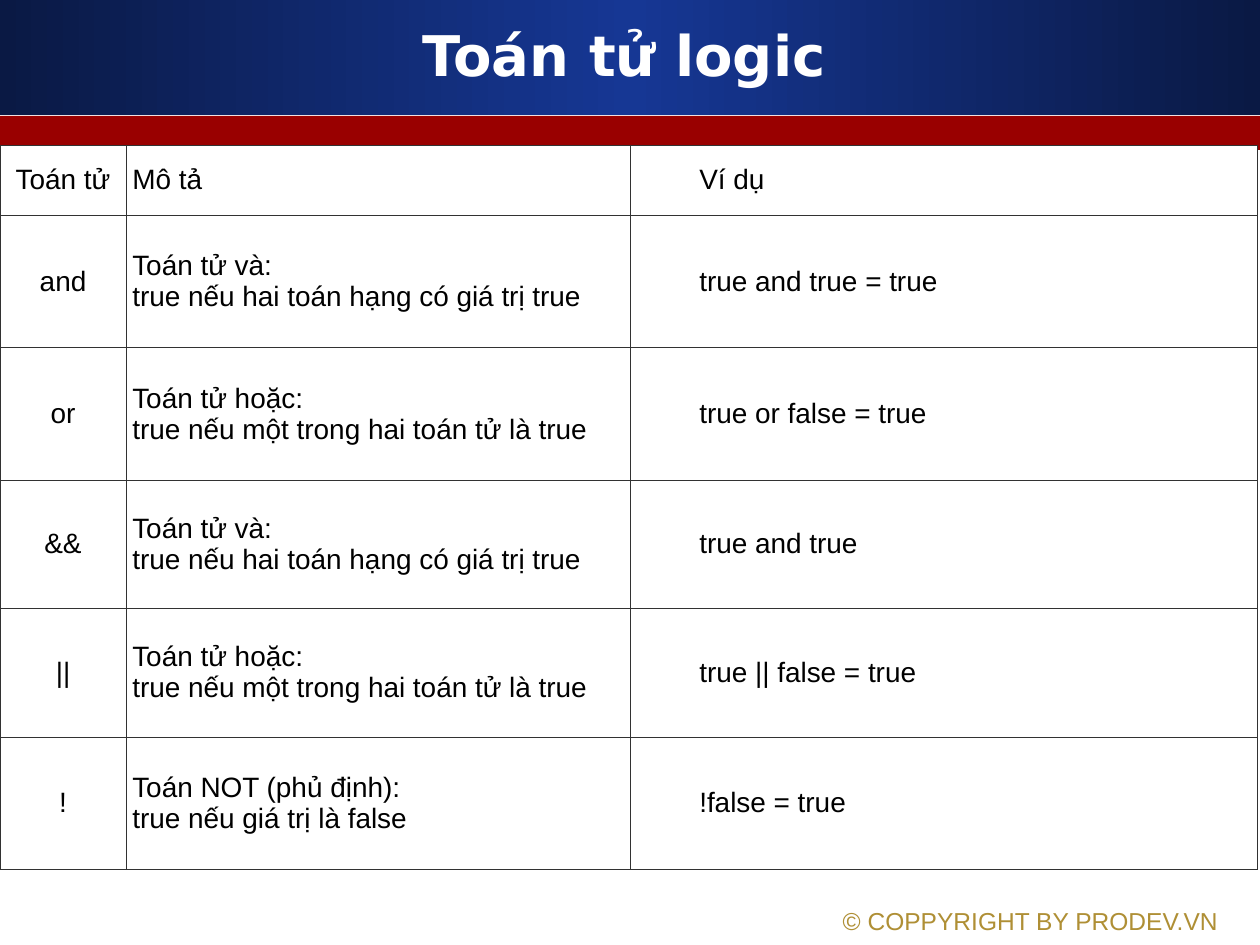
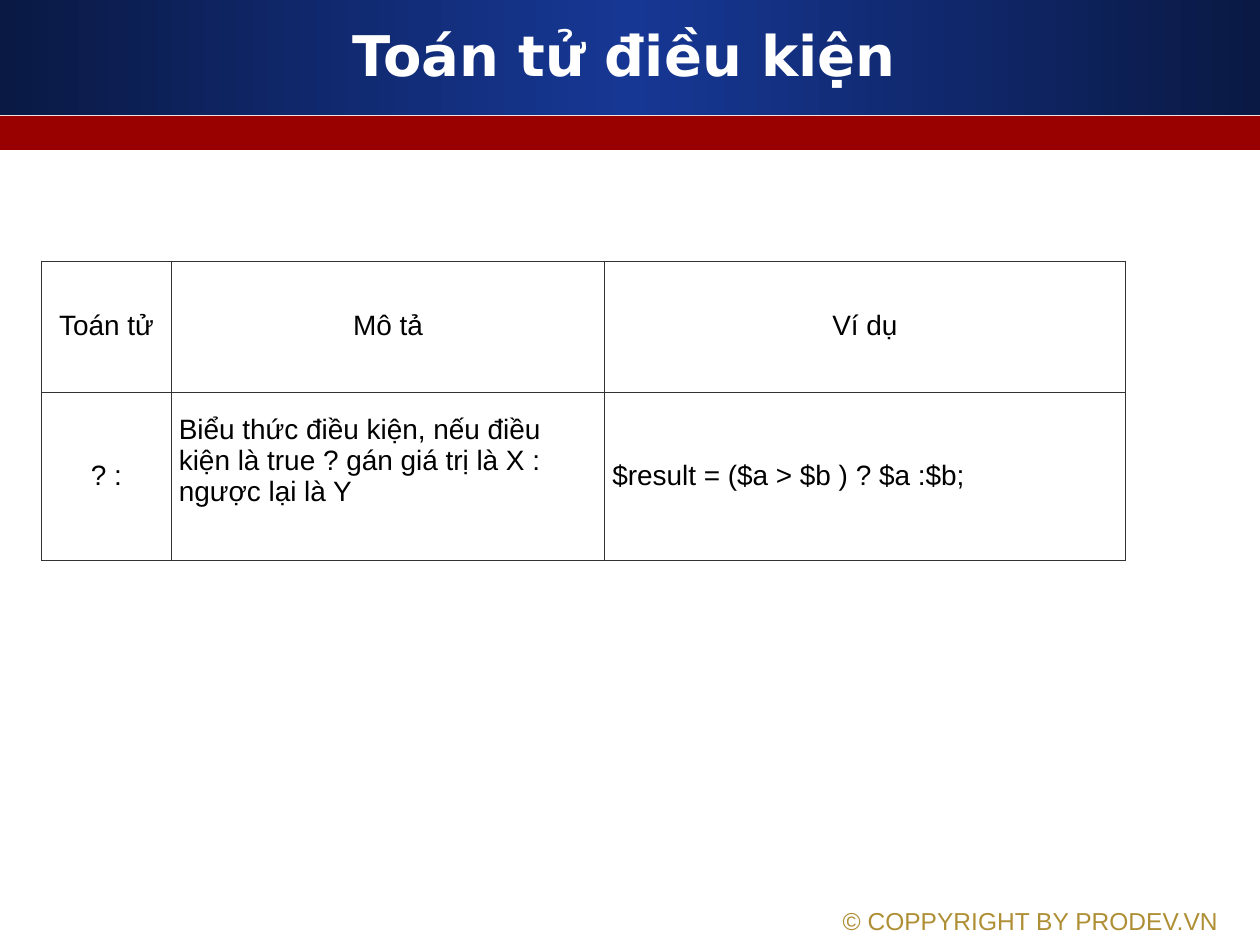
from copy import deepcopy
from dataclasses import dataclass

from lxml import etree
from pptx import Presentation
from pptx.dml.color import RGBColor
from pptx.enum.shapes import MSO_SHAPE
from pptx.enum.text import MSO_ANCHOR, MSO_AUTO_SIZE, PP_ALIGN
from pptx.oxml.ns import qn
from pptx.util import Inches, Pt

RECTANGLE = MSO_SHAPE.RECTANGLE
MIDDLE = MSO_ANCHOR.MIDDLE
LEFT, CENTER = PP_ALIGN.LEFT, PP_ALIGN.CENTER
FIXED, GROW = MSO_AUTO_SIZE.NONE, MSO_AUTO_SIZE.SHAPE_TO_FIT_TEXT
TITLE_ONLY = 5


# Colours, fonts and sizes
@dataclass(frozen=True)
class Theme:
    navy: str = "0A1944"
    blue: str = "163794"
    red: str = "990000"
    gold: str = "AF8F35"
    white: str = "FFFFFF"
    black: str = "000000"
    border: str = "323232"
    title_font: str = "DejaVu Sans"
    body_font: str = "Arial"
    title_size: float = 32
    body_size: float = 16
    footer_size: float = 14
    border_width: float = 0.34


THEME = Theme()
FOOTER = "© COPPYRIGHT BY PRODEV.VN "
HEADINGS = ("Toán tử", "Mô tả", "Ví dụ")


@dataclass(frozen=True)
class Column:
    width: float
    align: PP_ALIGN = LEFT
    heading_align: PP_ALIGN = LEFT
    indent: float = 0
    extra_bottom: float = 0  # raises body text above the middle


@dataclass(frozen=True)
class OperatorSlide:
    title: str
    left: float
    top: float
    side_margin: float
    columns: tuple[Column, ...]
    row_heights: tuple[float, ...]
    rows: tuple[tuple[str, str, str], ...]


AND_TEXT = "Toán tử và:\ntrue nếu hai toán hạng có giá trị true"
OR_TEXT = "Toán tử hoặc:\ntrue nếu một trong hai toán tử là true"

SLIDES = (
    OperatorSlide(
        title="Toán tử logic",
        left=0, top=1.15, side_margin=0.05,
        columns=(Column(1, CENTER, CENTER), Column(4), Column(4.98, indent=0.5)),
        row_heights=(0.56, 1.05, 1.05, 1.02, 1.02, 1.05),
        rows=(
            ("and", AND_TEXT, "true and true = true"),
            ("or", OR_TEXT, "true or false = true"),
            ("&&", AND_TEXT, "true and true"),
            ("||", OR_TEXT, "true || false = true"),
            ("!", "Toán NOT (phủ định):\ntrue nếu giá trị là false", "!false = true"),
        ),
    ),
    OperatorSlide(
        title="Toán tử điều kiện",
        left=0.33, top=2.07, side_margin=0.06,
        columns=(
            Column(1.03, CENTER, CENTER),
            Column(3.44, LEFT, CENTER, extra_bottom=0.25),
            Column(4.13, LEFT, CENTER),
        ),
        row_heights=(1.04, 1.34),
        rows=(
            (
                "? :",
                "Biểu thức điều kiện, nếu điều kiện là true ? gán giá trị là X : ngược lại là Y",
                "$result = ($a > $b ) ? $a :$b;",
            ),
        ),
    ),
)


def style_font(para, name: str, size: float, color: str, bold: bool = False) -> None:
    for span in para.runs:
        span.font.name = name
        span.font.size = Pt(size)
        span.font.bold = bold
        span.font.color.rgb = RGBColor.from_string(color)


# Shared bands, placed on the layout
def add_band(page, top: float, height: float):
    band = page.shapes.add_shape(RECTANGLE, 0, Inches(top), Inches(10), Inches(height))
    band.shadow.inherit = False
    band.line.fill.background()
    return band


def add_layout_bands(page) -> None:
    blue_band = add_band(page, 0, 0.91)
    blue_band.fill.gradient()
    blue_band.fill.gradient_angle = 0
    stop_list = blue_band.element.spPr.find(qn("a:gradFill")).find(qn("a:gsLst"))
    stop_list.append(deepcopy(stop_list[-1]))
    colors = (THEME.navy, THEME.blue, THEME.navy)
    for index, (stop, color) in enumerate(zip(blue_band.fill.gradient_stops, colors)):
        stop.position = index / 2
        stop.color.rgb = RGBColor.from_string(color)

    red_band = add_band(page, 0.92, 0.27)
    red_band.fill.solid()
    red_band.fill.fore_color.rgb = RGBColor.from_string(THEME.red)

    layout_tree = page.slide_layout.shapes.element
    for position, band in enumerate((blue_band, red_band), start=2):
        layout_tree.insert(position, band.element)


# Title and footer
def set_title(page, text: str) -> None:
    title = page.shapes.title
    title.left, title.top = Inches(0.33), Inches(0.17)
    title.width, title.height = Inches(9.25), Inches(0.62)
    frame = title.text_frame
    frame.text = text
    frame.auto_size = FIXED
    frame.vertical_anchor = MIDDLE
    para = frame.paragraphs[0]
    para.alignment = CENTER
    para.line_spacing = 0.8
    style_font(para, THEME.title_font, THEME.title_size, THEME.white, bold=True)


def add_footer(page) -> None:
    box = page.shapes.add_textbox(Inches(6.59), Inches(7.14), Inches(3.4), Inches(0.34))
    frame = box.text_frame
    frame.word_wrap = True
    frame.auto_size = GROW
    frame.text = FOOTER
    style_font(frame.paragraphs[0], THEME.body_font, THEME.footer_size, THEME.gold)


# Operator table
def add_borders(cell) -> None:
    properties = cell._tc.get_or_add_tcPr()
    for position, side in enumerate(("lnL", "lnR", "lnT", "lnB")):
        line = etree.Element(qn(f"a:{side}"), w=str(Pt(THEME.border_width)))
        fill = etree.SubElement(line, qn("a:solidFill"))
        etree.SubElement(fill, qn("a:srgbClr"), val=THEME.border)
        properties.insert(position, line)


def fill_cell(cell, text: str, column: Column, is_heading: bool, side_margin: float) -> None:
    cell.text_frame.text = text
    cell.vertical_anchor = MIDDLE
    cell.margin_left = cell.margin_right = Inches(side_margin)
    cell.margin_top = Inches(0.05)
    cell.margin_bottom = Inches(0.05 + (0 if is_heading else column.extra_bottom))
    cell.fill.solid()
    cell.fill.fore_color.rgb = RGBColor.from_string(THEME.white)
    add_borders(cell)
    for para in cell.text_frame.paragraphs:
        para.alignment = column.heading_align if is_heading else column.align
        if column.indent:
            para.level = 1
            properties = para._p.get_or_add_pPr()
            properties.set("marL", str(Inches(column.indent)))
            properties.set("indent", "0")
        style_font(para, THEME.body_font, THEME.body_size, THEME.black)


def add_operator_table(page, content: OperatorSlide) -> None:
    rows = (HEADINGS, *content.rows)
    table = page.shapes.add_table(
        len(rows), len(content.columns), Inches(content.left), Inches(content.top),
        Inches(sum(column.width for column in content.columns)),
        Inches(sum(content.row_heights)),
    ).table
    table.first_row = table.horz_banding = False
    for table_column, column in zip(table.columns, content.columns):
        table_column.width = Inches(column.width)
    for row_index, (texts, height) in enumerate(zip(rows, content.row_heights)):
        table.rows[row_index].height = Inches(height)
        for column_index, (text, column) in enumerate(zip(texts, content.columns)):
            cell = table.cell(row_index, column_index)
            fill_cell(cell, text, column, row_index == 0, content.side_margin)


def main() -> None:
    deck = Presentation()
    deck.slide_width, deck.slide_height = Inches(10), Inches(7.5)
    layout = deck.slide_layouts[TITLE_ONLY]
    for number, content in enumerate(SLIDES):
        page = deck.slides.add_slide(layout)
        if number == 0:
            add_layout_bands(page)
        set_title(page, content.title)
        add_footer(page)
        add_operator_table(page, content)
    deck.save("out.pptx")


if __name__ == "__main__":
    main()
